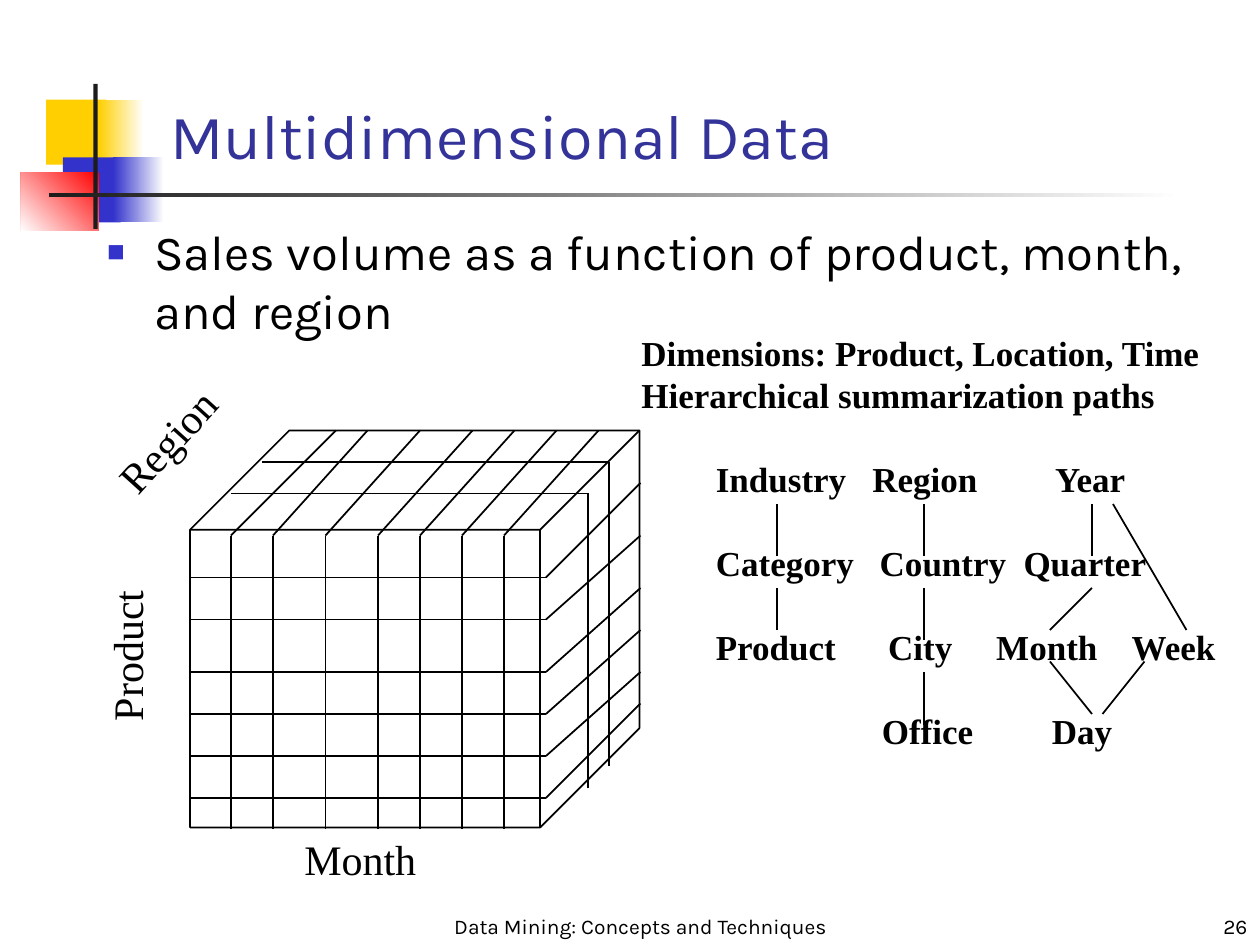
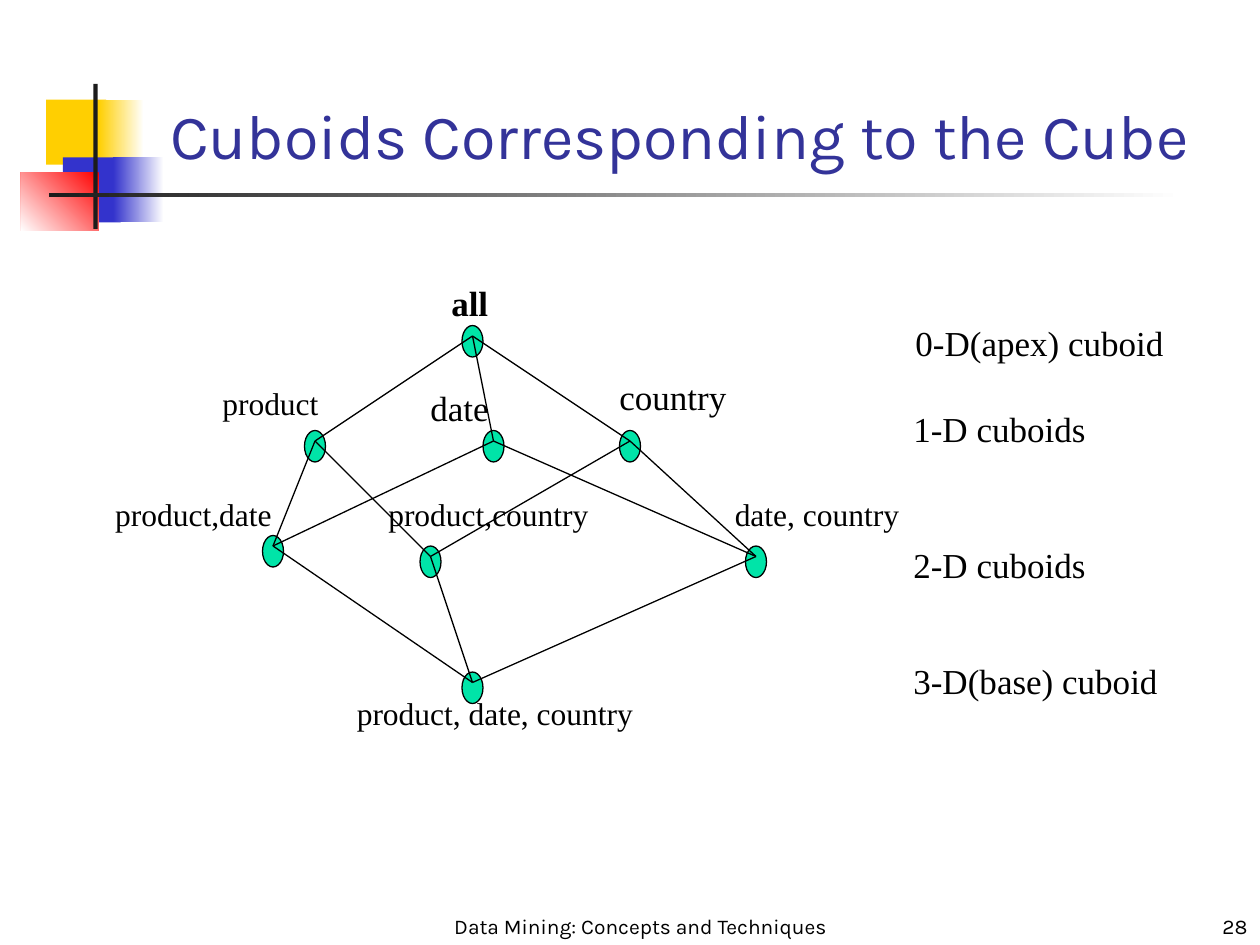
"""Build two slides on data cubes and their cuboids."""
from lxml import etree
from pptx import Presentation
from pptx import util as u
from pptx.dml import color
from pptx.enum import shapes, text
from pptx.oxml import ns

PX = 7620
HEX = {"ink": "000000", "title": "333399", "gold": "FFCF01", "blue": "3333CC",
       "red": "FF0000", "white": "FFFFFF", "dark": "1C1C1C", "mint": "00E4A8"}
SANS, SERIF = "Karla", "Times New Roman"
LEFT, MID, RIGHT = text.PP_ALIGN.LEFT, text.PP_ALIGN.CENTER, text.PP_ALIGN.RIGHT
TOP, LOW = text.MSO_ANCHOR.TOP, text.MSO_ANCHOR.BOTTOM
KIND = shapes.MSO_SHAPE


def px(*vals):
    """Turn px lengths into EMU."""
    return [u.Emu(val * PX) for val in vals]


def rgb(name):
    """Look up a colour by name."""
    return color.RGBColor.from_string(HEX[name])


def write(frame, words, size=20, font=SERIF, bold=False, ink="ink",
          align=LEFT, anchor=TOP, grow=False, before=0):
    """Fill a text frame, one paragraph per line of words."""
    frame.text = words
    frame.word_wrap = True
    frame.vertical_anchor = anchor
    fit = text.MSO_AUTO_SIZE
    frame.auto_size = fit.SHAPE_TO_FIT_TEXT if grow else fit.NONE
    for para in frame.paragraphs:
        para.alignment = align
        para.space_before = u.Pt(before)
        for run in para.runs:
            run.font.size = u.Pt(size)
            run.font.name = font
            run.font.bold = bold
            run.font.color.rgb = rgb(ink)


def label(slide, box, words, turn=0, **form):
    """Add a text box, turned if asked."""
    item = slide.shapes.add_textbox(*px(*box))
    item.rotation = turn
    write(item.text_frame, words, **form)


def line(slide, ends, width=1):
    """Add a straight black line."""
    item = slide.shapes.add_connector(shapes.MSO_CONNECTOR.STRAIGHT, *px(*ends))
    item.line.color.rgb = rgb("ink")
    item.line.width = u.Pt(width)
    etree.SubElement(item.element.spPr, ns.qn("a:effectLst"))


def shape(slide, kind, box, fill=None, edge=0, fade=None, angle=180):
    """Add a shape with no fill, a plain fill or a fade."""
    item = slide.shapes.add_shape(kind, *px(*box))
    item.shadow.inherit = False
    if fade:
        item.fill.gradient()
        item.fill.gradient_angle = angle
        for stop, name in zip(item.fill.gradient_stops, fade):
            stop.color.rgb = rgb(name)
    elif fill:
        item.fill.solid()
        item.fill.fore_color.rgb = rgb(fill)
    else:
        item.fill.background()
    if edge:
        item.line.color.rgb = rgb("ink")
        item.line.width = u.Pt(edge)
    else:
        item.line.fill.background()
    return item


def place(item, box):
    """Move and size a placeholder."""
    item.left, item.top, item.width, item.height = px(*box)


def bullet(para):
    """Give a paragraph a square blue bullet and a hanging indent."""
    props = para._p.get_or_add_pPr()
    props.set("marL", str(45 * PX))
    props.set("indent", str(-45 * PX))
    tint = etree.SubElement(props, ns.qn("a:buClr"))
    etree.SubElement(tint, ns.qn("a:srgbClr"), val=HEX["blue"])
    etree.SubElement(props, ns.qn("a:buSzPct"), val="60000")
    etree.SubElement(props, ns.qn("a:buChar"), char="■")


def brand(deck, slide):
    """Draw the corner blocks and rule, then move them to the master."""
    parts = [
        ((44, 95, 57, 62), {"fill": "gold"}),
        ((94, 95, 43, 62), {"fade": ("white", "gold")}),
        ((60, 150, 55, 62), {"fill": "blue"}),
        ((108, 150, 48, 62), {"fade": ("white", "blue")}),
        ((20, 164, 74, 56), {"fade": ("red", "white"), "angle": 225}),
        ((89, 80, 4, 138), {"fill": "dark"}),
        ((47, 184, 1080, 4), {"fade": ("white", "dark")}),
    ]
    for box, look in parts:
        item = shape(slide, KIND.RECTANGLE, box, **look)
        deck.slide_master.shapes.element.append(item.element)


def start(deck, layout, title, number):
    """Add a slide with its title and footer."""
    slide = deck.slides.add_slide(deck.slide_layouts[layout])
    place(slide.shapes.title, (150, 90, 1022, 80))
    write(slide.shapes.title.text_frame, title, size=36, font=SANS,
          ink="title", anchor=LOW)
    foot = {"size": 12, "font": SANS, "anchor": LOW}
    label(slide, (420, 830, 380, 70), "Data Mining: Concepts and Techniques",
          align=MID, **foot)
    label(slide, (950, 840, 250, 60), number, align=RIGHT, **foot)
    return slide


def cube(slide):
    """Draw the sales cube with its grid and axis names."""
    shape(slide, KIND.CUBE, (181, 410, 428, 378), edge=1)
    rows = (550, 590, 640, 680, 720, 760)
    backs = (460, 510, 560, 600, 640, 670)
    for row, back in zip(rows, backs):
        line(slide, (180, row, 520, row))
        line(slide, (520, row, 610, back))
    cols = (220, 260, 310, 360, 400, 440, 480)
    tops = (320, 350, 400, 450, 490, 530, 570)
    for col, top in zip(cols, tops):
        line(slide, (col, 510, col, 790))
        line(slide, (col, 510, top, 410))
    for left, right, top, base in ((250, 580, 440, 730), (220, 560, 470, 750)):
        line(slide, (left, top, right, top))
        line(slide, (right, top, right, base))
    axis = {"size": 24, "grow": True}
    label(slide, (41, 589, 159, 60), "Product", turn=270, **axis)
    label(slide, (88, 386, 149, 60), "Region", turn=312, **axis)
    label(slide, (278, 788, 141, 60), "Month", **axis)


def paths(slide):
    """Draw the summary paths of the three dimensions."""
    label(slide, (599, 310, 580, 92), "Dimensions: Product, Location, Time\n"
          "Hierarchical summarization paths", bold=True, grow=True)
    levels = [
        ((670, "Industry"), (819, "Region"), (993, "Year")),
        ((670, "Category"), (826, "Country"), (963, "Quarter")),
        ((670, "Product"), (834, "City"), (937, "Month"), (1066, "Week")),
        ((828, "Office"), (990, "Day")),
    ]
    for row, level in enumerate(levels):
        for left, word in level:
            label(slide, (left, 430 + 80 * row, 56 + 14 * len(word), 53), word,
                  bold=True)
    links = [
        (740, 480, 740, 530), (740, 560, 740, 600),
        (880, 480, 880, 530), (880, 560, 880, 610), (880, 640, 880, 690),
        (1040, 480, 1040, 530), (1040, 560, 1000, 600), (1060, 480, 1130, 600),
        (1000, 630, 1040, 680), (1090, 630, 1050, 680),
    ]
    for ends in links:
        line(slide, ends)


def lattice(slide):
    """Draw the lattice of cuboids with its labels."""
    nodes = {
        "all": (440, 310), "product": (290, 410), "date": (460, 410),
        "country": (590, 410), "product,date": (250, 510),
        "product,country": (400, 520), "date, country": (710, 520),
        "product, date, country": (440, 640),
    }
    links = {
        "all": ("product", "date", "country"),
        "product": ("product,date", "product,country"),
        "date": ("product,date", "date, country"),
        "country": ("product,country", "date, country"),
        "product, date, country": ("product,date", "product,country",
                                   "date, country"),
    }
    for spot in nodes.values():
        shape(slide, KIND.FLOWCHART_CONNECTOR, (*spot, 20, 30), "mint", 0.75)
    for head, tails in links.items():
        for tail in tails:
            ends = [val + 10 for val in nodes[head] + nodes[tail]]
            line(slide, ends, 0.75)
    label(slide, (418, 262, 70, 53), "all", bold=True, grow=True)
    names = [
        ((200, 360, 125, 48), "product", 18),
        ((398, 362, 90, 53), "date", 20),
        ((578, 352, 136, 53), "country", 20),
        ((98, 466, 183, 48), "product,date", 18),
        ((358, 466, 225, 48), "product,country", 18),
        ((688, 466, 190, 48), "date, country", 18),
        ((328, 655, 297, 48), "product, date, country", 18),
        ((860, 300, 272, 53), "0-D(apex) cuboid", 20),
        ((858, 382, 200, 53), "1-D cuboids", 20),
        ((858, 512, 200, 53), "2-D cuboids", 20),
        ((858, 622, 270, 53), "3-D(base) cuboid", 20),
    ]
    for box, words, size in names:
        label(slide, box, words, size=size, grow=True)


def main():
    """Build and save the deck."""
    deck = Presentation()
    deck.slide_width, deck.slide_height = px(1200, 900)
    first = start(deck, 1, "Multidimensional Data", "26")
    body = first.placeholders[1]
    place(body, (90, 205, 1050, 600))
    write(body.text_frame, "Sales volume as a function of product, month, and region",
          size=28, font=SANS, before=7)
    bullet(body.text_frame.paragraphs[0])
    cube(first)
    paths(first)
    brand(deck, first)
    second = start(deck, 5, "Cuboids Corresponding to the Cube", "28")
    lattice(second)
    deck.save("out.pptx")


if __name__ == "__main__":
    main()
